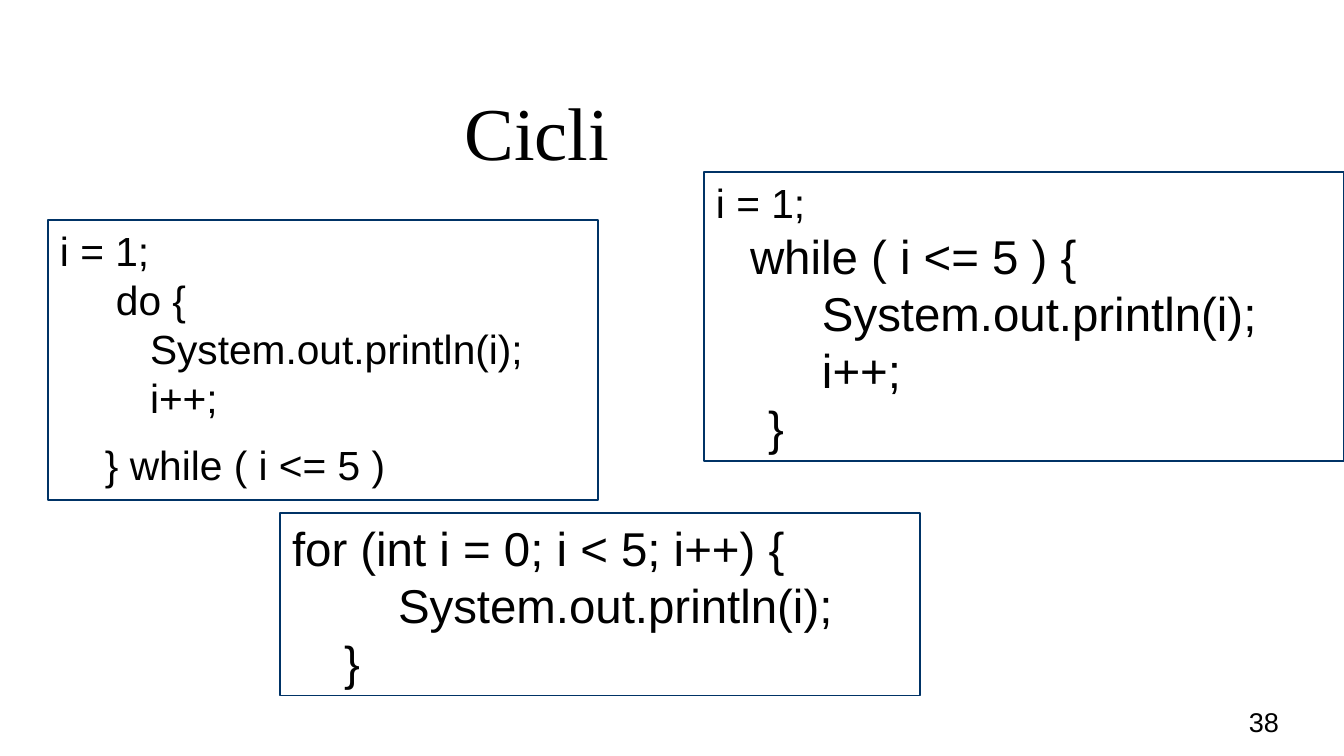
"""Build the slide that compares three Java loops."""
from dataclasses import dataclass

import pptx
import pptx.dml.color
import pptx.enum.text
import pptx.util

PX = 914400 / 122
ALIGN = pptx.enum.text.PP_ALIGN
ANCHOR = pptx.enum.text.MSO_ANCHOR


@dataclass
class Line:
    text: str
    size: int
    indent: int = 0
    before: int = 0


@dataclass
class CodeBox:
    left: int
    top: int
    width: int
    height: int
    lines: list[Line]


BOXES = [
    CodeBox(280, 513, 640, 183, [
        Line("for (int i = 0; i < 5; i++) {", 28),
        Line("System.out.println(i);", 28, 106),
        Line("}", 28, 52),
    ]),
    CodeBox(48, 220, 550, 280, [
        Line("i = 1;", 24),
        Line("do {", 24, 56),
        Line("System.out.println(i);", 24, 90),
        Line("i++;", 24, 90),
        Line("} while ( i <= 5 )", 24, 45, 11),
    ]),
    CodeBox(704, 172, 640, 289, [
        Line("i = 1;", 24),
        Line("while ( i <= 5 ) {", 28, 34),
        Line("System.out.println(i);", 28, 106),
        Line("i++;", 28, 106),
        Line("}", 28, 52),
    ]),
]


def px(n: int) -> pptx.util.Emu:
    """Turn pixels into EMU."""
    return pptx.util.Emu(round(n * PX))


def color(value: str) -> pptx.dml.color.RGBColor:
    """Turn a hex string into a colour."""
    return pptx.dml.color.RGBColor.from_string(value)


def add_run(p, text: str, size: int, font: str = "Arial") -> None:
    """Add one black run to a paragraph."""
    r = p.add_run()
    r.text = text
    r.font.size = pptx.util.Pt(size)
    r.font.name = font
    r.font.color.rgb = color("000000")


def add_code(s, box: CodeBox) -> None:
    """Draw an outlined box with indented code lines."""
    sp = s.shapes.add_textbox(px(box.left), px(box.top), px(box.width), px(box.height))
    sp.line.color.rgb = color("003366")
    sp.line.width = pptx.util.Pt(0.75)
    tf = sp.text_frame
    tf.word_wrap = True
    for i, line in enumerate(box.lines):
        p = tf.add_paragraph() if i else tf.paragraphs[0]
        p.space_before = pptx.util.Pt(line.before)
        p._p.get_or_add_pPr().set("marL", str(px(line.indent)))
        add_run(p, line.text, line.size)


def add_title(s, text: str) -> None:
    """Place and format the title placeholder."""
    sp = s.shapes.title
    sp.left, sp.top, sp.width, sp.height = px(238), px(109), px(598), px(57)
    tf = sp.text_frame
    tf.auto_size = pptx.enum.text.MSO_AUTO_SIZE.NONE
    tf.vertical_anchor = ANCHOR.MIDDLE
    p = tf.paragraphs[0]
    p.alignment = ALIGN.CENTER
    p.line_spacing = 0.85
    add_run(p, text, 44, "Times New Roman")


def add_number(s, text: str) -> None:
    """Write the page number at the lower right."""
    tf = s.shapes.add_textbox(px(969), px(694), px(322), px(50)).text_frame
    tf.word_wrap = True
    tf.vertical_anchor = ANCHOR.BOTTOM
    p = tf.paragraphs[0]
    p.alignment = ALIGN.RIGHT
    add_run(p, text, 16)


def main() -> None:
    """Build and save the presentation."""
    prs = pptx.Presentation()
    prs.slide_width, prs.slide_height = px(1344), px(756)
    s = prs.slides.add_slide(prs.slide_layouts[5])
    add_title(s, "Cicli")
    for box in BOXES:
        add_code(s, box)
    add_number(s, "38")
    prs.save("out.pptx")


if __name__ == "__main__":
    main()
